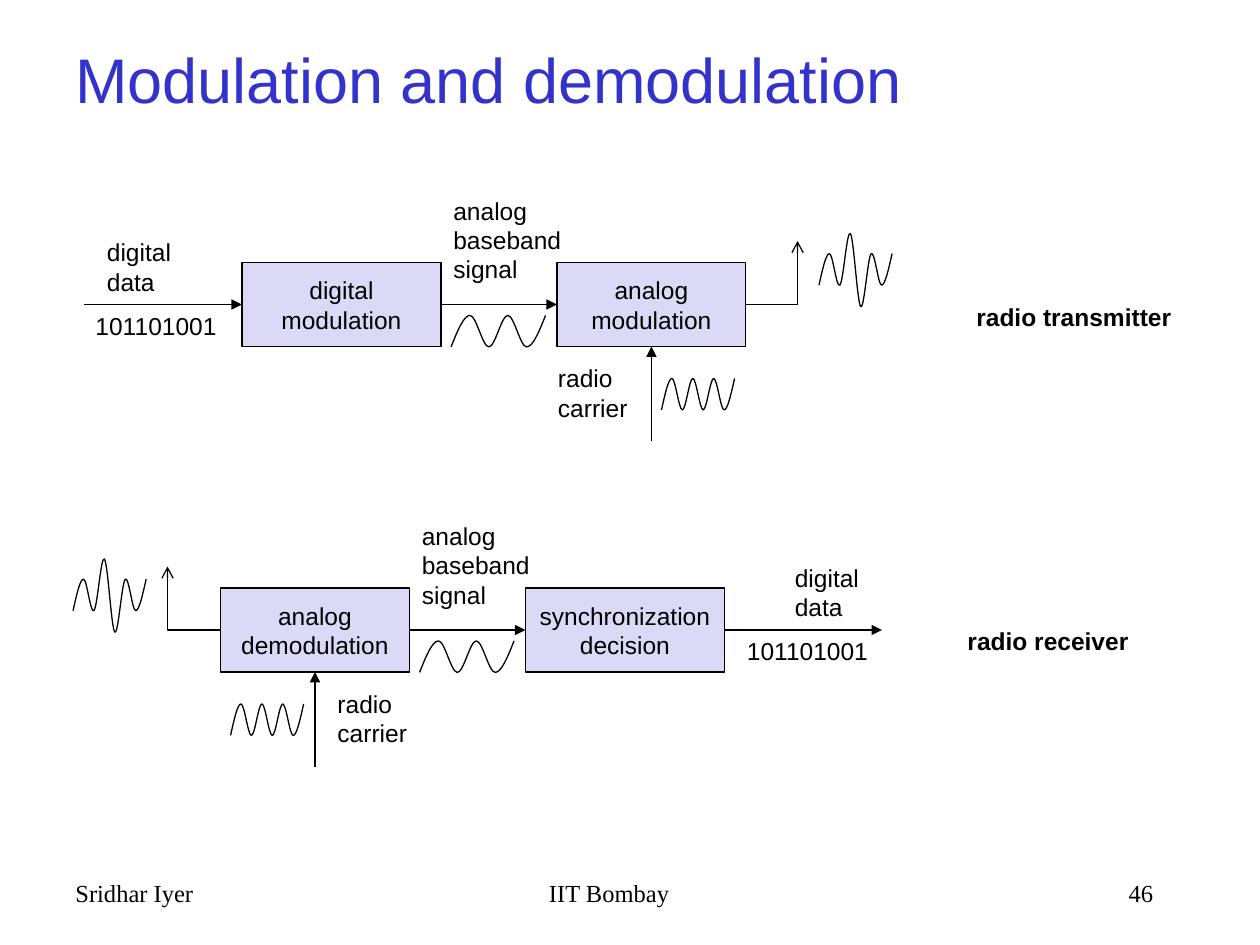
from lxml.etree import SubElement
from pptx import Presentation
from pptx.dml.color import RGBColor
from pptx.enum.shapes import MSO_CONNECTOR as Connector, MSO_SHAPE as Preset
from pptx.enum.text import MSO_ANCHOR as Anchor, MSO_AUTO_SIZE as AutoSize, PP_ALIGN as Align
from pptx.oxml.ns import qn
from pptx.util import Inches, Pt

BLACK = RGBColor(0x00, 0x00, 0x00)
TITLE_BLUE = RGBColor(0x33, 0x33, 0xCC)
BOX_FILL = RGBColor(0xDA, 0xDA, 0xF6)
TOP, LEFT, BOTTOM, RIGHT = 0, 1, 2, 3
BOX_HEIGHT = 2 / 3
BASEBAND = [0.25, 0] * 3
CARRIER = [0.25, 0] * 4
MODULATED = [0.25, 0, 0.25, -0.16, 0.42, 0, 0.25, 0]


def write_text(shape, text, size=14, font="Arial", color=BLACK, bold=False,
               align=Align.LEFT, anchor=Anchor.TOP, wrap=False, grow=False):
    frame = shape.text_frame
    frame.word_wrap = wrap
    frame.auto_size = AutoSize.SHAPE_TO_FIT_TEXT if grow else AutoSize.NONE
    frame.vertical_anchor = anchor
    frame.text = text
    for paragraph in frame.paragraphs:
        paragraph.alignment = align
        paragraph.font.size = Pt(size)
        paragraph.font.name = font
        paragraph.font.bold = bold
        paragraph.font.color.rgb = color


def smooth_outline(curve):
    path = next(curve._element.iter(qn("a:path")))
    points = [(int(point.get("x")), int(point.get("y"))) for point in path.iter(qn("a:pt"))]
    heights = [y for _, y in points]
    bends = [(after - before) / 6 for before, after in zip(heights, heights[2:])]
    bends = [(heights[1] - heights[0]) / 2, *bends, (heights[-1] - heights[-2]) / 2]
    for i, segment in enumerate(path.findall(qn("a:lnTo"))):
        (x, y), (next_x, next_y) = points[i:i + 2]
        third = (next_x - x) / 3
        bezier = SubElement(path, qn("a:cubicBezTo"))
        for point_x, point_y in ((x + third, y + bends[i]),
                                 (next_x - third, next_y - bends[i + 1]), (next_x, next_y)):
            SubElement(bezier, qn("a:pt"), x=str(round(point_x)), y=str(round(point_y)))
        path.remove(segment)


class Diagram:
    """Draws the elements of a signal chain on one slide."""

    def __init__(self, slide):
        self.shapes = slide.shapes
        self.line_width = Pt(0.75)

    def style_line(self, shape):
        shape.line.color.rgb = BLACK
        shape.line.width = self.line_width

    def text(self, text, left, top, width, height, **style):
        box = self.shapes.add_textbox(Inches(left), Inches(top), Inches(width), Inches(height))
        write_text(box, text, **style)

    def label(self, text, left, top, width, height, bold=False):
        self.text(text, left, top, width, height, bold=bold, grow=True)

    def block(self, text, left, top, width):
        box = self.shapes.add_shape(Preset.RECTANGLE, Inches(left), Inches(top),
                                    Inches(width), Inches(BOX_HEIGHT))
        box.shadow.inherit = False
        box.fill.solid()
        box.fill.fore_color.rgb = BOX_FILL
        self.style_line(box)
        write_text(box, text, align=Align.CENTER, anchor=Anchor.MIDDLE)
        return box

    def arrow(self, start, end, source=None, target=None, kind=Connector.STRAIGHT, head="triangle"):
        connector = self.shapes.add_connector(kind, *map(Inches, (*start, *end)))
        self.style_line(connector)
        if source:
            connector.begin_connect(*source)
        if target:
            connector.end_connect(*target)
        properties = connector._element.spPr
        SubElement(properties.find(qn("a:ln")), qn("a:tailEnd"), type=head)
        SubElement(properties, qn("a:effectLst"))
        return connector

    def antenna(self, start, end):
        connector = self.arrow(start, end, kind=Connector.ELBOW, head="arrow")
        connector._element.spPr.find(qn("a:prstGeom")).set("prst", "bentConnector2")

    def wave(self, levels, left, top, width):
        step = width / (len(levels) - 1)
        points = [(Inches(left + i * step), Inches(top + level)) for i, level in enumerate(levels)]
        builder = self.shapes.build_freeform(*points[0])
        builder.add_line_segments(points[1:], close=False)
        curve = builder.convert_to_shape()
        smooth_outline(curve)
        curve.shadow.inherit = False
        curve.fill.background()
        self.style_line(curve)


def draw_chain(diagram, top, first, second, analog_first, data_end, data_x, bits_x,
               baseband_x, carrier_x, carrier_wave_x, antenna_x, modulated_x):
    middle = top + BOX_HEIGHT / 2
    (first_text, first_x, first_width), (second_text, second_x, second_width) = first, second
    first_end, second_end = first_x + first_width, second_x + second_width
    first_box = diagram.block(first_text, first_x, top, first_width)
    second_box = diagram.block(second_text, second_x, top, second_width)
    diagram.arrow((first_end, middle), (second_x, middle), (first_box, RIGHT), (second_box, LEFT))

    if analog_first:
        analog_box, center, radio_edge = first_box, first_x + first_width / 2, first_x
        diagram.arrow((second_end, middle), (data_end, middle), source=(second_box, RIGHT))
    else:
        analog_box, center, radio_edge = second_box, second_x + second_width / 2, second_end
        diagram.arrow((data_end, middle), (first_x, middle), target=(first_box, LEFT))
    diagram.arrow((center, top + 1.42), (center, top + BOX_HEIGHT), target=(analog_box, BOTTOM))
    diagram.antenna((radio_edge, middle), (antenna_x, top - 0.17))

    diagram.label("digital\ndata", data_x, top - 0.25, 0.71, 0.57)
    diagram.label("101101001", bits_x, middle, 1.17, 0.34)
    diagram.label("analog\nbaseband\nsignal", baseband_x, top - 0.58, 1.06, 0.8)
    diagram.label("radio\ncarrier", carrier_x, top + 0.75, 0.75, 0.57)
    diagram.wave(BASEBAND, first_end + 0.08, top + 0.42, 0.75)
    diagram.wave(CARRIER, carrier_wave_x, top + 0.92, 0.58)
    diagram.wave(MODULATED, modulated_x, top - 0.07, 0.58)


def main():
    presentation = Presentation()
    presentation.slide_width, presentation.slide_height = Inches(10), Inches(7.5)
    diagram = Diagram(presentation.slides.add_slide(presentation.slide_layouts[6]))

    diagram.text("Modulation and demodulation", 0.5, 0, 8.5, 1.25, size=36,
                 color=TITLE_BLUE, anchor=Anchor.MIDDLE, wrap=True)
    for text, left, width, align in (("Sridhar Iyer", 0.5, 2.08, Align.LEFT),
                                     ("IIT Bombay", 3.25, 3.17, Align.CENTER),
                                     ("46", 7.17, 2.08, Align.RIGHT)):
        diagram.text(text, left, 6.92, width, 0.5, font="Times New Roman", align=align, wrap=True)

    draw_chain(diagram, 25 / 12, ("digital\nmodulation", 1.92, 1.58),
               ("analog\nmodulation", 4.42, 1.5), analog_first=False,
               data_end=0.67, data_x=0.75, bits_x=0.66, baseband_x=3.5, carrier_x=4.33,
               carrier_wave_x=5.25, antenna_x=6.33, modulated_x=6.5)
    diagram.label("radio transmitter", 7.65, 2.35, 1.75, 0.34, bold=True)

    draw_chain(diagram, 14 / 3, ("analog\ndemodulation", 1.75, 1.5),
               ("synchronization\ndecision", 4.17, 1.58), analog_first=True,
               data_end=7, data_x=6.21, bits_x=5.83, baseband_x=3.25, carrier_x=2.58,
               carrier_wave_x=1.83, antenna_x=1.33, modulated_x=0.58)
    diagram.label("radio receiver", 7.58, 4.92, 1.48, 0.34, bold=True)

    presentation.save("out.pptx")


if __name__ == "__main__":
    main()
